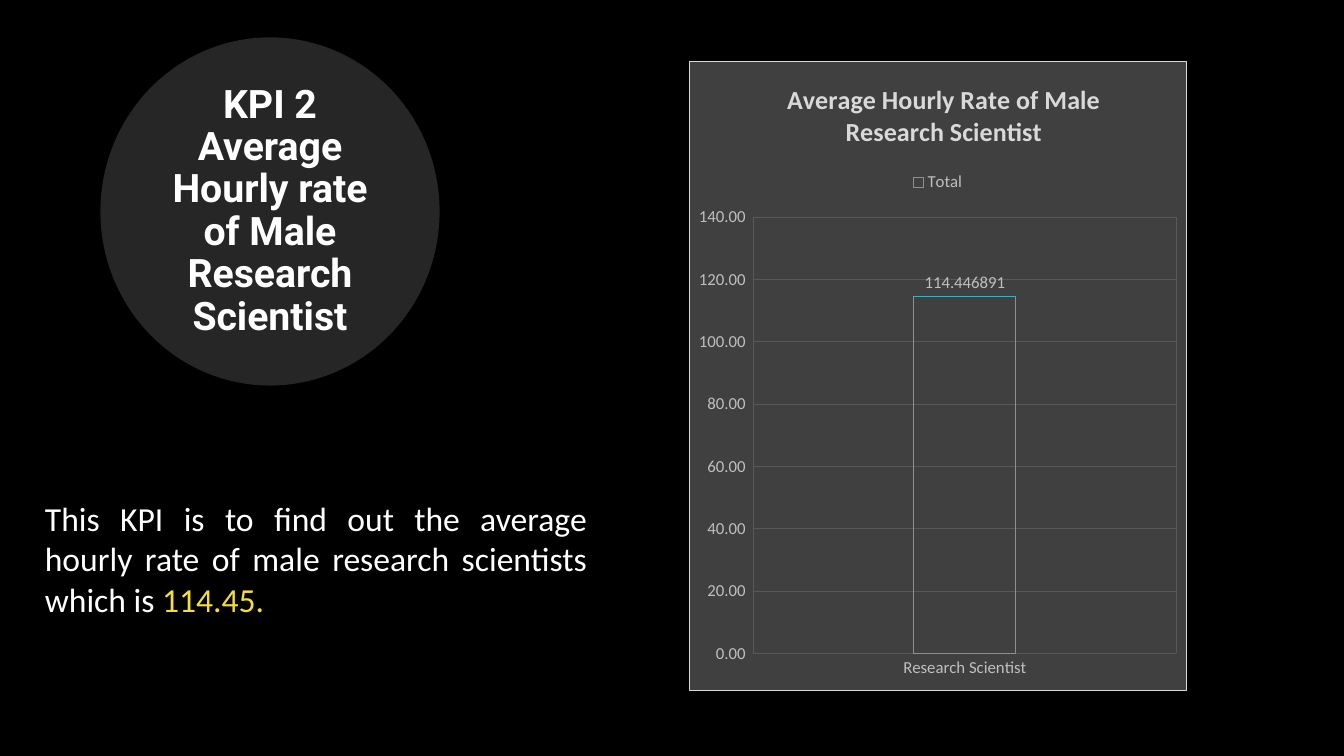
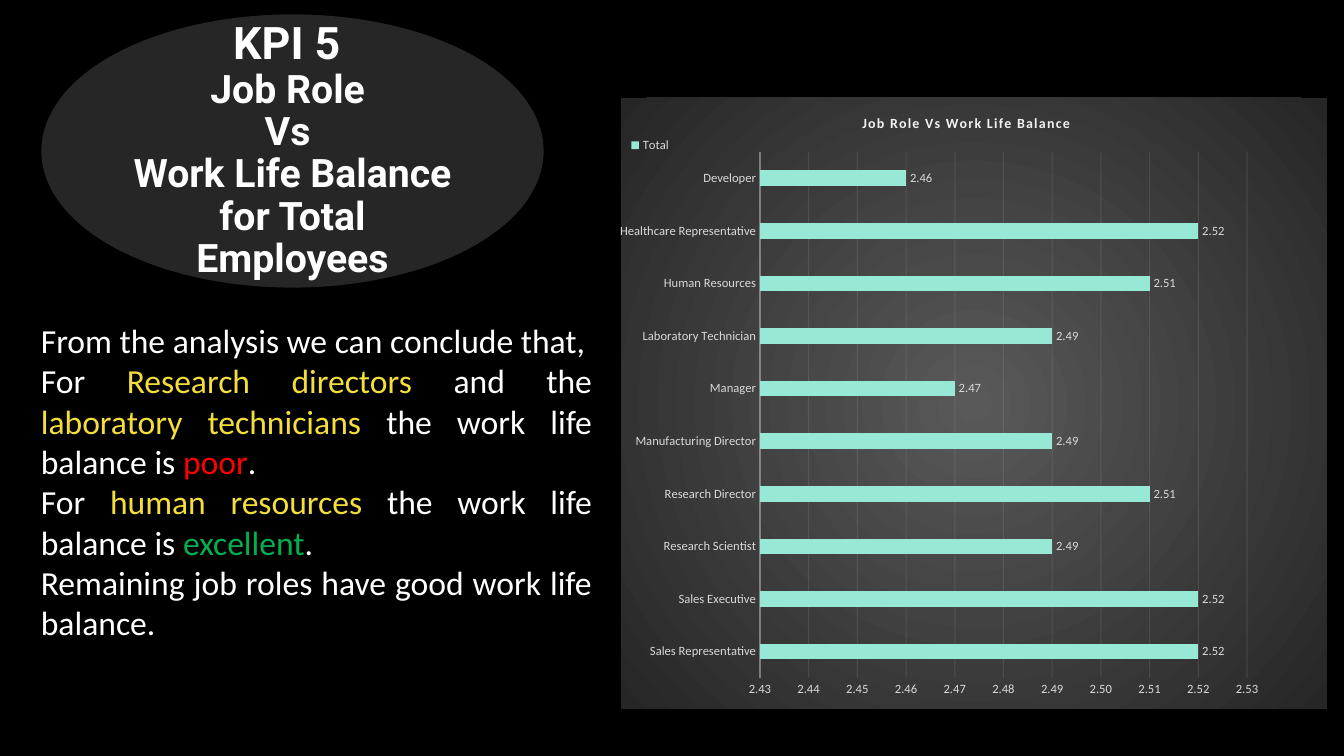
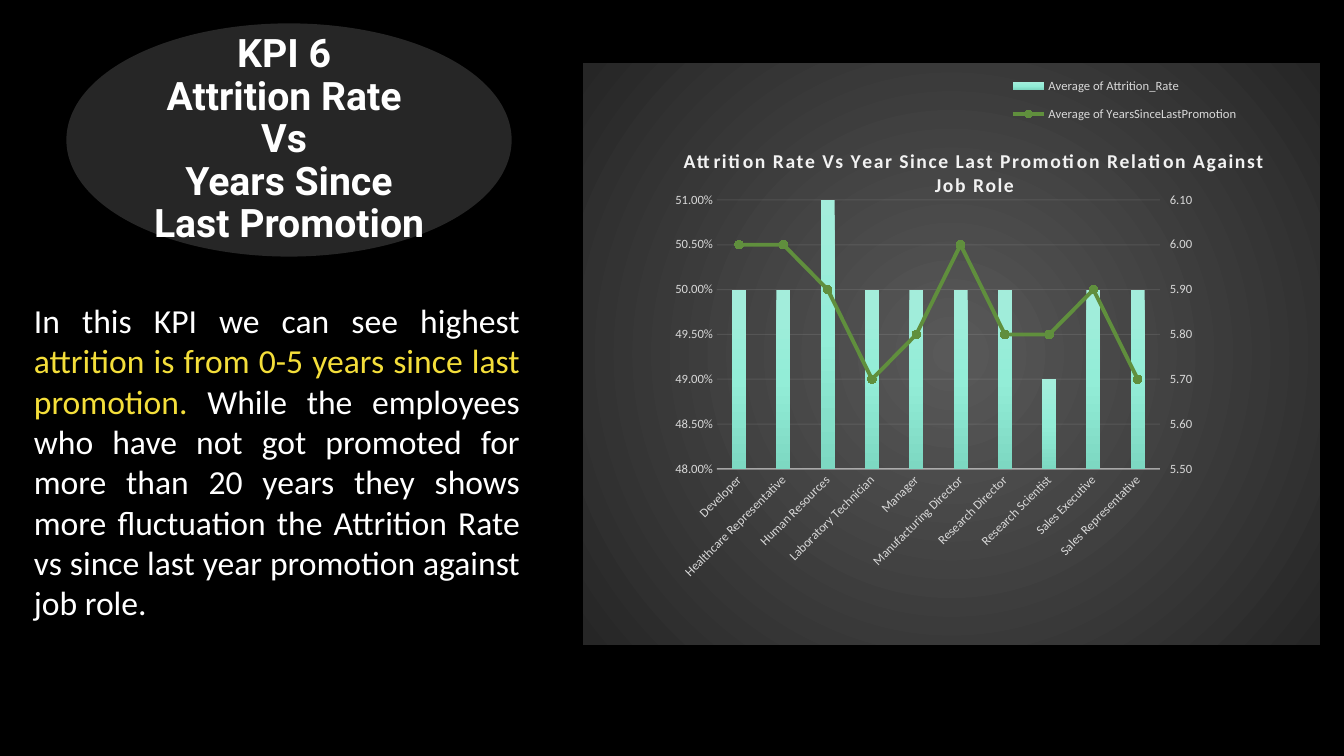
from pptx import Presentation
from pptx.chart.axis import ValueAxis
from pptx.chart.data import CategoryChartData
from pptx.dml.color import RGBColor
from pptx.enum.chart import XL_CHART_TYPE as ChartType
from pptx.enum.chart import XL_LABEL_POSITION as LabelPosition
from pptx.enum.chart import XL_LEGEND_POSITION as LegendPosition
from pptx.enum.chart import XL_MARKER_STYLE as MarkerStyle
from pptx.enum.chart import XL_TICK_MARK as TickMark
from pptx.enum.shapes import MSO_SHAPE as Shape
from pptx.enum.text import MSO_ANCHOR as Anchor
from pptx.enum.text import MSO_AUTO_SIZE as AutoSize
from pptx.enum.text import PP_ALIGN as Align
from pptx.oxml import parse_xml
from pptx.oxml.ns import nsdecls, qn
from pptx.util import Emu, Pt

# Shared look
PX_PER_INCH = 100.8
SLIDE_SIZE = (1344, 756)
BODY_FONT, TITLE_FONT = "Calibri", "Roboto"
BLACK = RGBColor(0x00, 0x00, 0x00)
WHITE = RGBColor(0xFF, 0xFF, 0xFF)
CHARCOAL = RGBColor(0x26, 0x26, 0x26)
DARK_GRAY = RGBColor(0x40, 0x40, 0x40)
GRID_GRAY = RGBColor(0x59, 0x59, 0x59)
SILVER = RGBColor(0xBF, 0xBF, 0xBF)
LIGHT_GRAY = RGBColor(0xD9, 0xD9, 0xD9)
PALE_GRAY = RGBColor(0xF2, 0xF2, 0xF2)
YELLOW = RGBColor(0xF4, 0xDE, 0x3A)
RED = RGBColor(0xFF, 0x00, 0x00)
GREEN = RGBColor(0x00, 0xB0, 0x50)
TEAL = RGBColor(0x41, 0xAE, 0xBD)
MINT = RGBColor(0x97, 0xE9, 0xD5)
MINT_STOPS = [
    (0, RGBColor(0xA4, 0xED, 0xDB)),
    (50, RGBColor(0x93, 0xED, 0xD7)),
    (100, RGBColor(0x7D, 0xD8, 0xC2)),
]
LINE_GREEN = RGBColor(0x60, 0x8F, 0x3D)
MARKER_GREEN = RGBColor(0x5F, 0x93, 0x39)

JOB_ROLES = [
    "Developer", "Healthcare Representative", "Human Resources",
    "Laboratory Technician", "Manager", "Manufacturing Director",
    "Research Director", "Research Scientist", "Sales Executive",
    "Sales Representative",
]


def px(length):
    return Emu(round(length * 914400 / PX_PER_INCH))


def set_font(font, size, color, name=BODY_FONT, bold=False):
    font.size, font.name, font.bold = Pt(size), name, bold
    font.color.rgb = color


def set_line(line, color, width=0.75):
    line.width = Pt(width)
    line.color.rgb = color


# Text
def add_title_oval(slide, box, lines, first_size=28):
    oval = slide.shapes.add_shape(Shape.OVAL, *map(px, box))
    oval.shadow.inherit = False
    oval.fill.solid()
    oval.fill.fore_color.rgb = CHARCOAL
    set_line(oval.line, CHARCOAL, 13.75)
    frame = oval.text_frame
    frame.word_wrap = True
    frame.vertical_anchor = Anchor.MIDDLE
    para = frame.paragraphs[0]
    para.alignment, para.line_spacing = Align.CENTER, 0.9
    for index, text in enumerate(lines):
        if index:
            para.add_line_break()
        span = para.add_run()
        span.text = text
        set_font(span.font, 28 if index else first_size, WHITE, TITLE_FONT, True)


def add_body(slide, box, paragraphs):
    """Each paragraph is a list of plain strings and (string, colour) pairs."""
    frame = slide.shapes.add_textbox(*map(px, box)).text_frame
    frame.word_wrap = True
    frame.auto_size = AutoSize.SHAPE_TO_FIT_TEXT
    for index, parts in enumerate(paragraphs):
        para = frame.add_paragraph() if index else frame.paragraphs[0]
        para.alignment = Align.JUSTIFY
        para.font.size, para.font.name = Pt(24), BODY_FONT
        for part in parts:
            text, color = (part, WHITE) if isinstance(part, str) else part
            span = para.add_run()
            span.text = text
            span.font.color.rgb = color


# Chart fills and layout
def solid_xml(color):
    return f'<a:solidFill><a:srgbClr val="{color}"/></a:solidFill>'


def gradient_xml(stops, shading):
    marks = "".join(
        f'<a:gs pos="{pos * 1000}"><a:srgbClr val="{color}"/></a:gs>'
        for pos, color in stops
    )
    return f'<a:gradFill {nsdecls("a")}><a:gsLst>{marks}</a:gsLst>{shading}</a:gradFill>'


RADIAL_FILL = gradient_xml(
    [(0, GRID_GRAY), (100, CHARCOAL)],
    '<a:path path="circle"><a:fillToRect l="50000" t="50000" r="50000" b="50000"/></a:path>',
)
MINT_FILL = gradient_xml(MINT_STOPS, '<a:lin ang="5400000" scaled="0"/>')


def set_chart_area(chart, fill, border="<a:noFill/>"):
    area = parse_xml(
        f'<c:spPr {nsdecls("c", "a")}>{fill}<a:ln w="9525">{border}</a:ln></c:spPr>'
    )
    chart.element.find(qn("c:chart")).addnext(area)


def place(chart, chart_box, tag, box):
    """Fix a chart part at slide pixels: left, top and, if given, width, height."""
    part = chart.element.xpath(f".//c:{tag}")[0]
    for old in part.findall(qn("c:layout")):
        part.remove(old)
    left, top, width, height = chart_box
    shares = [(box[0] - left) / width, (box[1] - top) / height]
    shares += [length / whole for length, whole in zip(box[2:], (width, height))]
    target = '<c:layoutTarget val="inner"/>' if tag == "plotArea" else ""
    modes = '<c:xMode val="edge"/><c:yMode val="edge"/>'
    sizes = "".join(f'<c:{n} val="{s:.4f}"/>' for n, s in zip("xywh", shares))
    layout = parse_xml(
        f'<c:layout {nsdecls("c")}><c:manualLayout>{target}{modes}{sizes}'
        "</c:manualLayout></c:layout>"
    )
    part.insert(0 if tag == "plotArea" else 1, layout)


def fade(chart, query, percent):
    for color in chart.element.xpath(f"{query}//a:srgbClr"):
        color.append(parse_xml(f'<a:alpha {nsdecls("a")} val="{percent * 1000}"/>'))


# Chart parts
def style_axis(axis, size, color, grid=None, line=None):
    axis.major_tick_mark = axis.minor_tick_mark = TickMark.NONE
    set_font(axis.tick_labels.font, size, color)
    axis.has_major_gridlines = grid is not None
    if grid is not None:
        set_line(axis.major_gridlines.format.line, grid)
    if line is None:
        axis.format.line.fill.background()
    else:
        set_line(axis.format.line, line, 1)


def set_scale(axis, low, high, step, number_format):
    axis.minimum_scale, axis.maximum_scale, axis.major_unit = low, high, step
    axis.tick_labels.number_format = number_format
    axis.tick_labels.number_format_is_linked = False


def set_chart_title(chart, text, size, color, spacing=0):
    chart.has_title = True
    span = chart.chart_title.text_frame.paragraphs[0].add_run()
    span.text = text
    set_font(span.font, size, color, bold=True)
    span.font._element.set("spc", str(spacing))


def set_labels(plot, size, color, number_format):
    plot.has_data_labels = True
    labels = plot.data_labels
    labels.show_value = True
    labels.position = LabelPosition.OUTSIDE_END
    labels.number_format, labels.number_format_is_linked = number_format, False
    set_font(labels.font, size, color)


def add_bars(slide, box, kind, categories, series, gap, overlap, legend, size, color):
    data = CategoryChartData()
    data.categories = categories
    for name, values in series:
        data.add_series(name, values)
    chart = slide.shapes.add_chart(kind, *map(px, box), data).chart
    set_font(chart.font, 10, WHITE)
    plot = chart.plots[0]
    plot.gap_width, plot.overlap, plot.vary_by_categories = gap, overlap, False
    chart.has_legend = True
    chart.legend.position = legend
    chart.legend.include_in_layout = False
    set_font(chart.legend.font, size, color)
    return chart


def style_dark_chart(chart):
    set_chart_area(chart, RADIAL_FILL)
    style_axis(chart.category_axis, 9, LIGHT_GRAY, line=PALE_GRAY)
    style_axis(chart.value_axis, 9, LIGHT_GRAY, grid=PALE_GRAY)
    fade(chart, ".//c:catAx/c:spPr", 54)
    fade(chart, ".//c:majorGridlines", 10)


def move_to_right_axis(chart):
    """Draw the last series as a line on a second value axis."""
    bars = chart.element.xpath(".//c:barChart")[0]
    series = bars.findall(qn("c:ser"))[-1]
    for flag in series.findall(qn("c:invertIfNegative")):
        series.remove(flag)
    lines = parse_xml(
        f'<c:lineChart {nsdecls("c")}><c:grouping val="standard"/>'
        '<c:varyColors val="0"/><c:marker val="1"/>'
        '<c:axId val="5001"/><c:axId val="5002"/></c:lineChart>'
    )
    lines.insert(2, series)
    bars.addnext(lines)

    def axis_xml(tag, own, other, hidden, side, crosses):
        return parse_xml(
            f'<c:{tag} {nsdecls("c")}><c:axId val="{own}"/>'
            '<c:scaling><c:orientation val="minMax"/></c:scaling>'
            f'<c:delete val="{hidden}"/><c:axPos val="{side}"/>'
            '<c:tickLblPos val="nextTo"/>'
            f'<c:crossAx val="{other}"/><c:crosses val="{crosses}"/></c:{tag}>'
        )

    hidden_axis = axis_xml("catAx", 5001, 5002, 1, "b", "autoZero")
    right_axis = axis_xml("valAx", 5002, 5001, 0, "r", "max")
    last_axis = chart.element.xpath(".//c:plotArea/c:valAx")[-1]
    last_axis.addnext(right_axis)
    right_axis.addnext(hidden_axis)
    return chart.plots[1].series[0], ValueAxis(right_axis)


# Slides
def build_hourly_rate(slide):
    add_title_oval(slide, (110, 47, 320, 329),
                   ["KPI 2", "Average Hourly rate of Male Research Scientist"])
    add_body(slide, (35, 493, 562, 132), [[
        "This KPI is to find out the average hourly rate of male research "
        "scientists which is ", ("114.45.", YELLOW)]])
    box = (689, 61, 498, 630)
    chart = add_bars(slide, box, ChartType.COLUMN_CLUSTERED, ["Research Scientist"],
                     [("Total", [114.446891])], 315, -40,
                     LegendPosition.TOP, 12, SILVER)
    set_chart_area(chart, solid_xml(DARK_GRAY), solid_xml(LIGHT_GRAY))
    for axis in (chart.category_axis, chart.value_axis):
        style_axis(axis, 12, SILVER, grid=GRID_GRAY)
    set_scale(chart.value_axis, 0, 140, 20, r"#,##0.00_);[Red]\(#,##0.00\)")
    total = chart.plots[0].series[0]
    total.format.fill.background()
    set_line(total.format.line, TEAL)
    set_labels(chart.plots[0], 12, SILVER, "General")
    set_chart_title(chart, "Average Hourly Rate of Male Research Scientist", 18.6, LIGHT_GRAY)
    place(chart, box, "title", (782, 76))
    place(chart, box, "legend", (908, 168))
    place(chart, box, "plotArea", (753, 217, 424, 437))


def build_work_life_balance(slide):
    add_title_oval(slide, (51, 24, 483, 254),
                   ["KPI 5 ", "Job Role ", "Vs ", "Work Life Balance for Total Employees"],
                   first_size=32)
    box = (620, 98, 707, 611)
    balance = [2.46, 2.52, 2.51, 2.49, 2.47, 2.49, 2.51, 2.49, 2.52, 2.52]
    chart = add_bars(slide, box, ChartType.BAR_CLUSTERED, JOB_ROLES[::-1],
                     [("Total", balance[::-1])], 240, -20,
                     LegendPosition.RIGHT, 9, LIGHT_GRAY)
    style_dark_chart(chart)
    set_scale(chart.value_axis, 2.43, 2.53, 0.01, "0.00")
    fill = chart.plots[0].series[0].format.fill
    fill.solid()
    fill.fore_color.rgb = MINT
    set_labels(chart.plots[0], 9, LIGHT_GRAY, "0.00")
    set_chart_title(chart, "Job Role Vs Work Life Balance", 10, PALE_GRAY, 100)
    place(chart, box, "title", (859, 112))
    place(chart, box, "legend", (626, 134))
    place(chart, box, "plotArea", (759, 152, 488, 526))
    add_body(slide, (31, 315, 571, 417), [
        ["From the analysis we can conclude that,"],
        ["For ", ("Research directors ", YELLOW), "and the ",
         ("laboratory technicians ", YELLOW), "the work life balance is ",
         ("poor", RED), "."],
        ["For ", ("human resources ", YELLOW), "the work life balance is ",
         ("excellent", GREEN), "."],
        ["Remaining job roles have good work life balance."],
    ])


def build_attrition(slide):
    add_title_oval(slide, (76, 33, 426, 214),
                   ["KPI 6 ", "Attrition Rate ", "Vs ", "Years Since Last Promotion"])
    box = (583, 63, 737, 582)
    attrition = [0.5, 0.5, 0.51, 0.5, 0.5, 0.5, 0.5, 0.49, 0.5, 0.5]
    promotion = [6, 6, 5.9, 5.7, 5.8, 6, 5.8, 5.8, 5.9, 5.7]
    chart = add_bars(slide, box, ChartType.COLUMN_CLUSTERED, JOB_ROLES,
                     [("Average of Attrition_Rate", attrition),
                      ("Average of YearsSinceLastPromotion", promotion)],
                     219, -27, LegendPosition.RIGHT, 9, LIGHT_GRAY)
    style_dark_chart(chart)
    set_scale(chart.value_axis, 0.48, 0.51, 0.005, "0.00%")
    chart.element.xpath(".//c:catAx/c:txPr/a:bodyPr")[0].set("rot", "-2700000")
    # Gradient columns
    chart.plots[0].series[0].format.fill.background()
    no_fill = chart.element.xpath(".//c:barChart/c:ser[1]/c:spPr/a:noFill")[0]
    no_fill.getparent().replace(no_fill, parse_xml(MINT_FILL))
    # Line on the right axis
    line, right_axis = move_to_right_axis(chart)
    set_line(line.format.line, LINE_GREEN, 2.75)
    line.smooth = False
    line.marker.style, line.marker.size = MarkerStyle.CIRCLE, 6
    line.marker.format.fill.solid()
    line.marker.format.fill.fore_color.rgb = MARKER_GREEN
    set_line(line.marker.format.line, MARKER_GREEN)
    style_axis(right_axis, 9, LIGHT_GRAY)
    right_axis.major_tick_mark = TickMark.OUTSIDE
    set_scale(right_axis, 5.5, 6.1, 0.1, "0.00")
    set_chart_title(
        chart, "Attrition Rate Vs Year Since Last Promotion Relation Against Job Role",
        14, PALE_GRAY, 100)
    place(chart, box, "title", (680, 144))
    place(chart, box, "legend", (1002, 65, 245, 70))
    place(chart, box, "plotArea", (717, 200, 443, 269))
    add_body(slide, (24, 295, 506, 336), [[
        "In this KPI we can see highest ",
        ("attrition is from 0-5 years since last promotion. ", YELLOW),
        "While the employees who have not got promoted for more than 20 years they "
        "shows more fluctuation the Attrition Rate vs since last year promotion "
        "against job role."]])


def main():
    deck = Presentation()
    deck.slide_width, deck.slide_height = map(px, SLIDE_SIZE)
    backdrop = deck.slide_master.background.fill
    backdrop.solid()
    backdrop.fore_color.rgb = BLACK
    for build in (build_hourly_rate, build_work_life_balance, build_attrition):
        build(deck.slides.add_slide(deck.slide_layouts[6]))
    deck.save("out.pptx")


if __name__ == "__main__":
    main()
